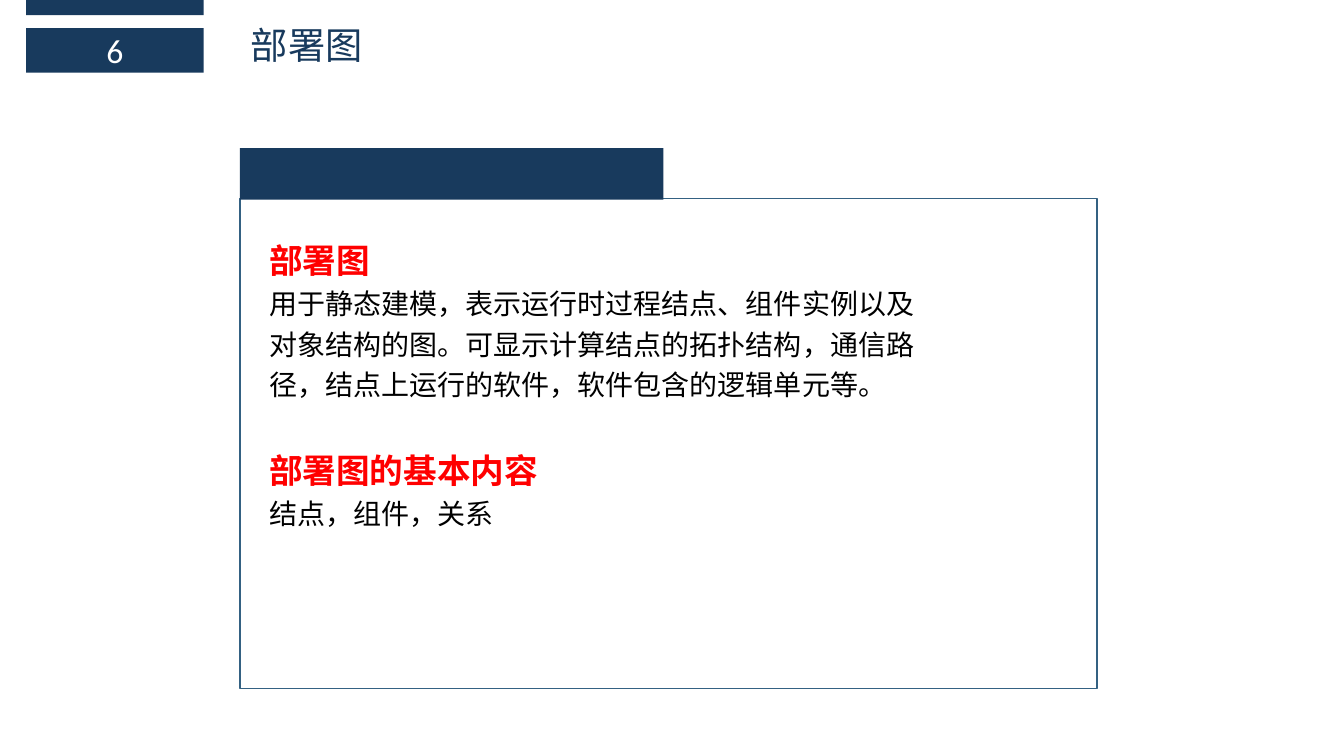
from lxml.etree import SubElement
from pptx import Presentation
from pptx.dml.color import RGBColor
from pptx.enum.shapes import MSO_SHAPE as Shape
from pptx.enum.text import MSO_ANCHOR as Anchor, MSO_AUTO_SIZE as AutoSize, PP_ALIGN as Align
from pptx.oxml.ns import qn
from pptx.util import Inches, Pt

NAVY, BORDER, RED, BLACK, WHITE = "183A5D", "346182", "FF0000", "000000", "FFFFFF"
LATIN, CHINESE = "Calibri", "Noto Sans CJK SC"


def color(hex_value):
    return RGBColor.from_string(hex_value)


def write(paragraph, text, size=20, ink=BLACK, bold=False, font=LATIN,
          align=None, spacing=None, before=None):
    run = paragraph.add_run()
    run.text = text
    run.font.size = Pt(size)
    run.font.bold = bold
    run.font.color.rgb = color(ink)
    run.font.name = font
    SubElement(run.font._element, qn("a:ea")).set("typeface", CHINESE)
    paragraph.alignment = align
    paragraph.line_spacing = spacing
    if before is not None:
        paragraph.space_before = Pt(before)


class SlideBuilder:
    """Holds the slide and its drawing style."""

    def __init__(self, slide):
        self.slide = slide

    def rect(self, left, top, width, height, fill=None, line=None):
        box = self.slide.shapes.add_shape(
            Shape.RECTANGLE, Inches(left), Inches(top), Inches(width), Inches(height))
        box.shadow.inherit = False
        if fill:
            box.fill.solid()
            box.fill.fore_color.rgb = color(fill)
        else:
            box.fill.background()
        if line:
            box.line.color.rgb = color(line)
            box.line.width = Pt(1)
        else:
            box.line.fill.background()
        return box

    def text(self, left, top, width, height, paragraphs):
        frame = self.slide.shapes.add_textbox(
            Inches(left), Inches(top), Inches(width), Inches(height)).text_frame
        frame.word_wrap = True
        frame.auto_size = AutoSize.SHAPE_TO_FIT_TEXT
        for index, (content, style) in enumerate(paragraphs):
            paragraph = frame.add_paragraph() if index else frame.paragraphs[0]
            write(paragraph, content, **style)


def main():
    deck = Presentation()
    deck.slide_width, deck.slide_height = Inches(13.33), Inches(7.5)
    page = SlideBuilder(deck.slides.add_slide(deck.slide_layouts[6]))

    # Header: page number and title
    page.rect(0.26, 0, 1.76, 0.15, fill=NAVY)
    page_number = page.rect(0.26, 0.28, 1.76, 0.44, fill=NAVY).text_frame
    page_number.vertical_anchor = Anchor.MIDDLE
    write(page_number.paragraphs[0], "6", size=24, ink=WHITE, align=Align.CENTER)
    page.text(2.39, 0.17, 6.62, 0.55,
              [("部署图", dict(size=26.6, ink=NAVY, font=CHINESE))])

    # Package-shaped panel
    page.rect(2.38, 1.97, 8.5, 4.86, line=BORDER)
    page.rect(2.38, 1.47, 4.2, 0.51, fill=NAVY)

    # Definition and contents
    heading = dict(size=24, ink=RED, bold=True, spacing=1.2)
    body = dict(spacing=1.2)
    page.text(2.57, 2.25, 6.66, 3.09, [
        ("部署图", heading),
        ("用于静态建模，表示运行时过程结点、组件实例以及对象结构的图。"
         "可显示计算结点的拓扑结构，通信路径，结点上运行的软件，"
         "软件包含的逻辑单元等。", body),
        ("部署图的基本内容", dict(heading, before=29)),
        ("结点，组件，关系", body),
    ])

    deck.save("out.pptx")


if __name__ == "__main__":
    main()
